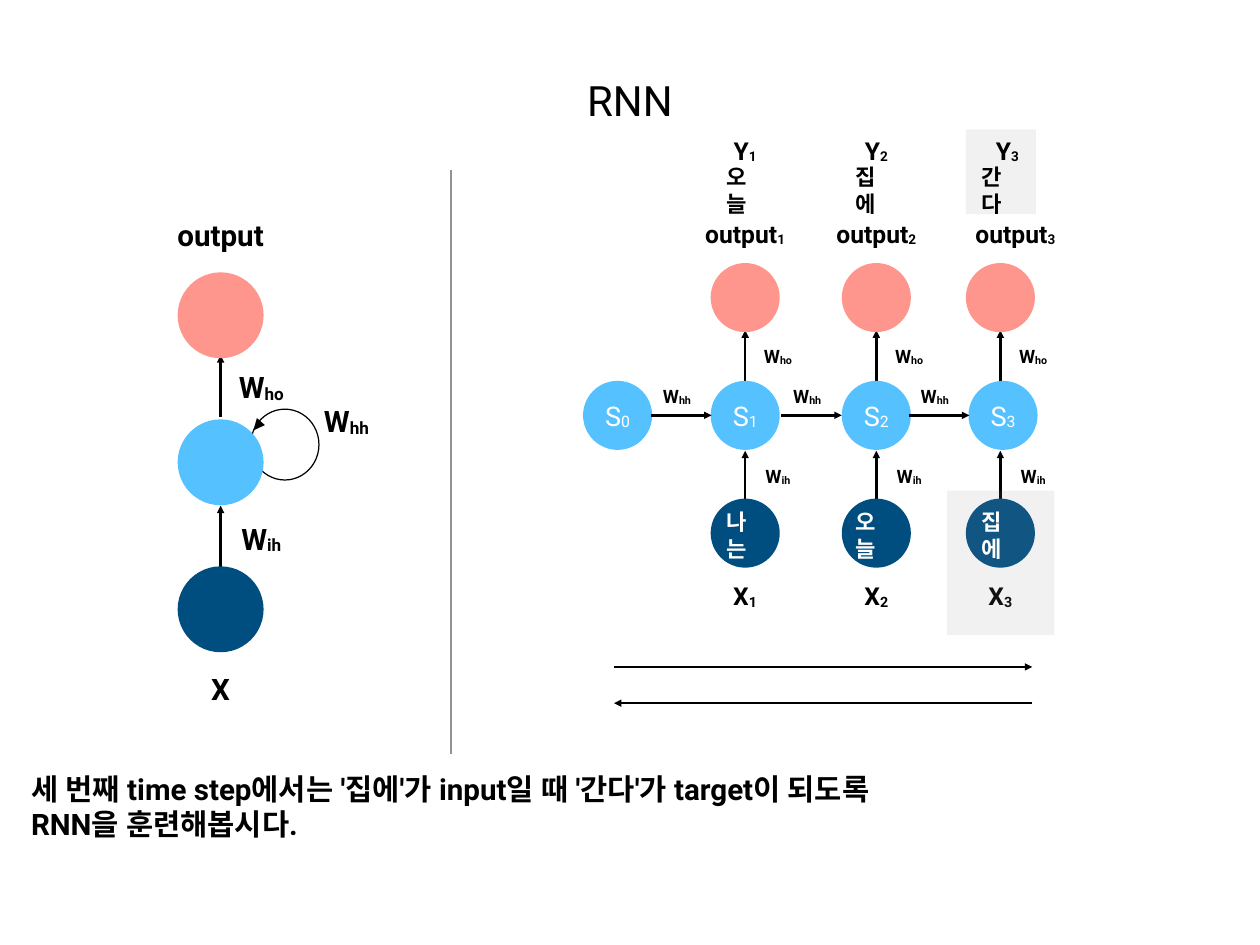
from dataclasses import dataclass

from lxml.etree import SubElement
from pptx import Presentation
from pptx.dml.color import RGBColor
from pptx.enum.shapes import MSO_CONNECTOR, MSO_SHAPE
from pptx.enum.text import MSO_ANCHOR, PP_ALIGN
from pptx.oxml.ns import qn
from pptx.util import Inches, Pt

BLACK = RGBColor(0x00, 0x00, 0x00)
WHITE = RGBColor(0xFF, 0xFF, 0xFF)
GRAY = RGBColor(0x92, 0x92, 0x92)
NAVY = RGBColor(0x00, 0x4D, 0x80)
SKY = RGBColor(0x56, 0xC1, 0xFF)
CORAL = RGBColor(0xFF, 0x96, 0x8D)

FONT = "Roboto"
NODE = 0.78
BIG_NODE = 0.97
OUTPUT_Y, STATE_Y, INPUT_Y = 3.36, 4.69, 6.02


@dataclass
class Step:
    number: str
    center: float
    state_center: float
    output_center: float
    target_center: float
    word_left: float
    hidden_arrow_left: float
    source_word: str
    target_word: str


STEPS = [
    Step("1", 8.41, 8.41, 8.41, 8.41, 8.14, 7.35, "나는", "오늘"),
    Step("2", 9.89, 9.89, 9.89, 9.89, 9.59, 8.82, "오늘", "집에"),
    Step("3", 11.29, 11.32, 11.46, 11.37, 11.02, 10.26, "집에", "간다"),
]


def add_run(paragraph, text, size, color, bold, subscript=False):
    run = paragraph.add_run()
    run.text = text
    font = run.font
    font.name, font.size, font.bold = FONT, Pt(size), bold
    font.color.rgb = color
    properties = font._element
    SubElement(properties, qn("a:ea")).set("typeface", FONT)
    if subscript:
        properties.set("baseline", "-5999")


def set_frame(shape, wrap):
    frame = shape.text_frame
    frame.word_wrap = wrap
    frame.vertical_anchor = MSO_ANCHOR.MIDDLE
    frame.margin_left = frame.margin_right = Inches(0.06)
    frame.margin_top = frame.margin_bottom = Inches(0.06)
    return frame


def add_label(slide, center, middle, text, size, subscript="", bold=True,
              subscript_size=None, width=1.2, height=0.45):
    """Centred one-line text around a point, with an optional subscript."""
    box = slide.shapes.add_textbox(Inches(center - width / 2), Inches(middle - height / 2),
                                   Inches(width), Inches(height))
    paragraph = set_frame(box, True).paragraphs[0]
    paragraph.alignment = PP_ALIGN.CENTER
    add_run(paragraph, text, size, BLACK, bold)
    if subscript:
        add_run(paragraph, subscript, subscript_size or size, BLACK, bold, True)


def add_block(slide, left, top, width, height, lines, size, color=BLACK):
    """Left-aligned bold text that wraps in its box."""
    box = slide.shapes.add_textbox(Inches(left), Inches(top), Inches(width), Inches(height))
    frame = set_frame(box, True)
    for index, line in enumerate(lines):
        paragraph = frame.add_paragraph() if index else frame.paragraphs[0]
        add_run(paragraph, line, size, color, True)


def add_node(slide, center, middle, size, color, state=""):
    node = slide.shapes.add_shape(MSO_SHAPE.OVAL, Inches(center - size / 2),
                                  Inches(middle - size / 2), Inches(size), Inches(size))
    node.shadow.inherit = False
    node.fill.solid()
    node.fill.fore_color.rgb = color
    node.line.fill.background()
    if state:
        paragraph = set_frame(node, True).paragraphs[0]
        paragraph.alignment = PP_ALIGN.CENTER
        add_run(paragraph, "S", 22, WHITE, False)
        add_run(paragraph, state, 22, WHITE, False, True)


def add_line(slide, x1, y1, x2, y2, color=BLACK, arrow=True):
    line = slide.shapes.add_connector(MSO_CONNECTOR.STRAIGHT, Inches(x1), Inches(y1),
                                      Inches(x2), Inches(y2))
    line.line.color.rgb = color
    line.line.width = Pt(2)
    if arrow:
        SubElement(line.line._get_or_add_ln(), qn("a:tailEnd")).set("type", "triangle")
    SubElement(line._element.spPr, qn("a:effectLst"))


def add_highlight(slide, left, top, width, height):
    area = slide.shapes.add_shape(MSO_SHAPE.RECTANGLE, Inches(left), Inches(top),
                                  Inches(width), Inches(height))
    area.shadow.inherit = False
    area.fill.solid()
    area.fill.fore_color.rgb = GRAY
    area.line.fill.background()
    tint = area._element.spPr.find(qn("a:solidFill"))[0]
    SubElement(tint, qn("a:alpha")).set("val", "12000")


def add_loop(slide):
    loop = slide.shapes.add_shape(MSO_SHAPE.OVAL, Inches(2.83), Inches(4.62),
                                  Inches(0.77), Inches(0.8))
    loop.shadow.inherit = False
    loop.fill.background()
    loop.line.color.rgb = BLACK
    loop.line.width = Pt(1)


def add_loop_head(slide):
    builder = slide.shapes.build_freeform(Inches(2.86), Inches(4.86), scale=1.0)
    builder.add_line_segments([(Inches(2.9), Inches(4.72)), (Inches(2.99), Inches(4.8))])
    head = builder.convert_to_shape()
    head.shadow.inherit = False
    head.fill.solid()
    head.fill.fore_color.rgb = BLACK
    head.line.fill.background()


def add_folded_network(slide):
    center = 2.49
    add_loop(slide)
    add_node(slide, center, 5.22, BIG_NODE, SKY)
    add_line(slide, center, 4.71, center, 4.01)
    add_line(slide, center, 6.79, center, 5.71)
    add_node(slide, center, 6.88, BIG_NODE, NAVY)
    add_node(slide, center, 3.56, BIG_NODE, CORAL)
    add_loop_head(slide)
    add_label(slide, center, 2.65, "output", 24, width=1.4)
    add_label(slide, center, 7.78, "X", 24)
    for x, y, weight in [(3.91, 4.75, "hh"), (2.95, 6.08, "ih"), (2.95, 4.37, "ho")]:
        add_label(slide, x, y, "W", 24, weight)


def add_step(slide, step):
    center = step.center
    add_line(slide, center, 4.33, center, 3.73)
    add_line(slide, center, 5.95, center, 5.09)
    add_node(slide, center, INPUT_Y, NODE, NAVY)
    add_node(slide, center, OUTPUT_Y, NODE, CORAL)
    add_node(slide, step.state_center, STATE_Y, NODE, SKY, step.number)
    arrow_left = step.hidden_arrow_left
    add_line(slide, arrow_left, STATE_Y, arrow_left + 0.68, STATE_Y)
    add_label(slide, arrow_left + 0.29, 4.47, "W", 15, "hh")
    add_label(slide, center + 0.37, 5.38, "W", 15, "ih")
    add_label(slide, center + 0.37, 4.02, "W", 15, "ho")
    add_label(slide, center, 6.73, "X", 20, step.number)
    add_label(slide, step.output_center, 2.64, "output", 20, step.number, subscript_size=19)


def add_step_words(slide, step):
    add_block(slide, step.word_left, 5.84, 0.45, 0.4, [step.source_word], 18, WHITE)
    add_block(slide, step.word_left, 1.95, 0.45, 0.4, [step.target_word], 18)
    add_label(slide, step.target_center, 1.7, "Y", 20, step.number, subscript_size=19)


def main():
    presentation = Presentation()
    presentation.slide_width = Inches(14.22)
    presentation.slide_height = Inches(10.67)
    slide = presentation.slides.add_slide(presentation.slide_layouts[6])

    add_label(slide, 7.11, 1.13, "RNN", 34, bold=False, width=5.6, height=0.67)
    add_folded_network(slide)
    add_line(slide, 5.09, 8.51, 5.09, 1.92, GRAY, arrow=False)

    add_node(slide, 6.97, STATE_Y, NODE, SKY, "0")
    for step in STEPS:
        add_step(slide, step)
    add_highlight(slide, 10.69, 5.54, 1.21, 1.63)
    add_highlight(slide, 10.9, 1.46, 0.79, 0.96)
    for step in STEPS:
        add_step_words(slide, step)

    add_line(slide, 6.93, 7.53, 11.65, 7.53)
    add_line(slide, 11.65, 7.94, 6.93, 7.94)
    add_block(slide, 0.29, 8.62, 9.65, 0.96,
              ["세 번째 time step에서는 '집에'가 input일 때 '간다'가 target이 되도록",
               "RNN을 훈련해봅시다."], 24)
    presentation.save("out.pptx")


if __name__ == "__main__":
    main()
